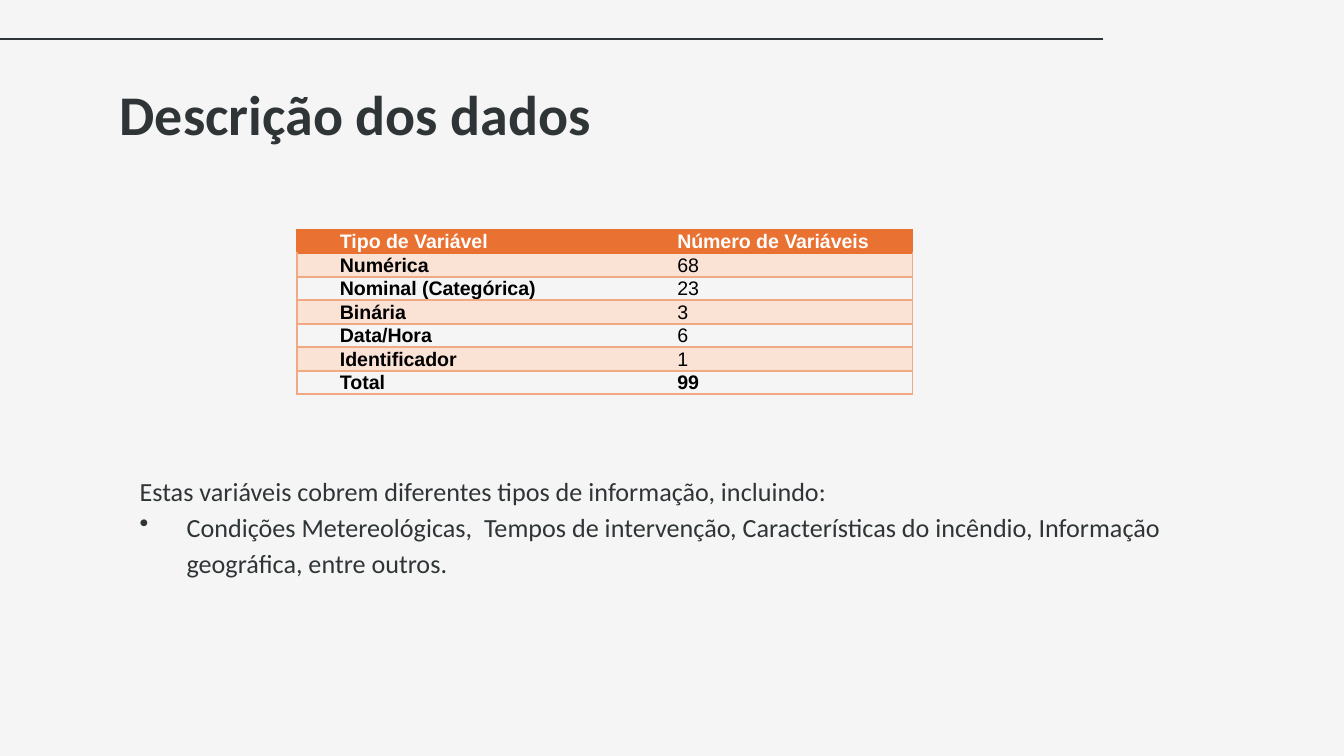
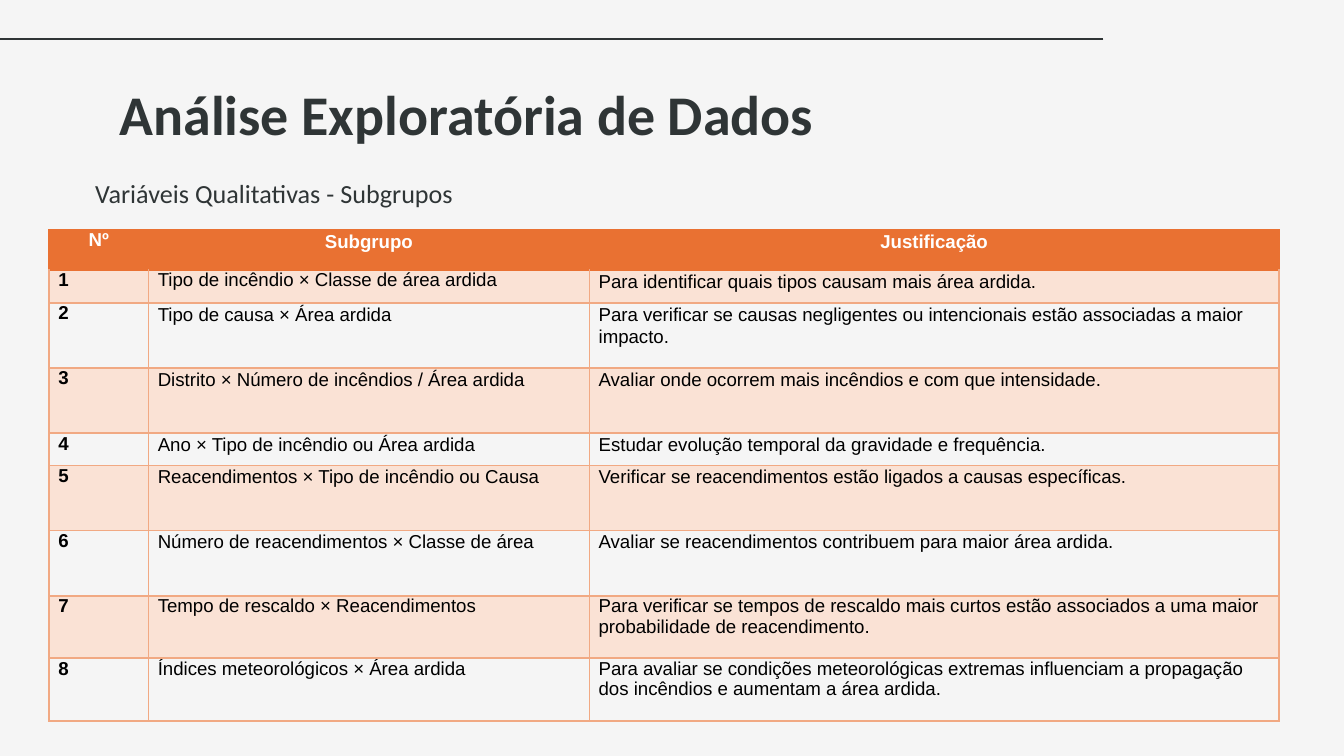
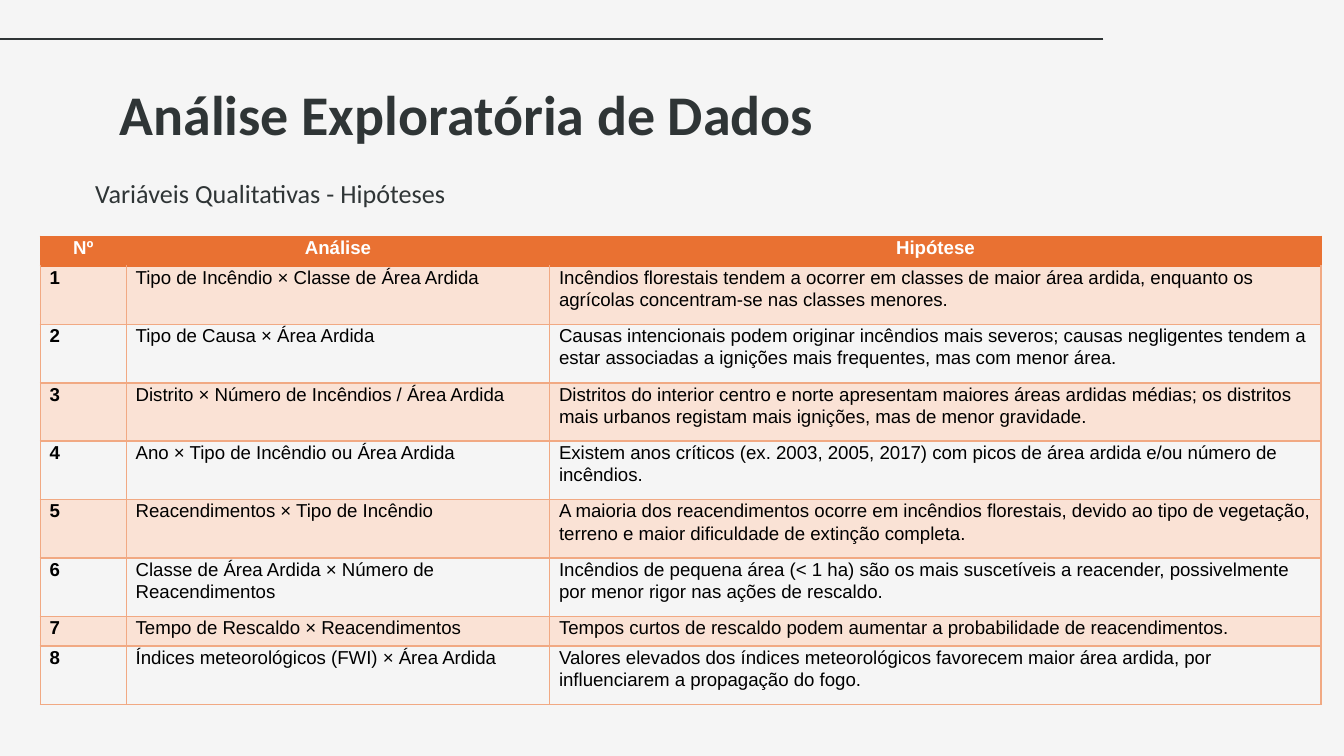
from dataclasses import dataclass
from itertools import product

import lxml.etree
import pptx
import pptx.dml.color
import pptx.enum.shapes
import pptx.enum.text
import pptx.oxml.ns
import pptx.util

RGBColor = pptx.dml.color.RGBColor
Align = pptx.enum.text.PP_ALIGN
Anchor = pptx.enum.text.MSO_ANCHOR
qn = pptx.oxml.ns.qn

# Shared look; 200 px make one inch
EMU_PER_PX = 4572
PAGE_WIDTH, PAGE_HEIGHT = 2000, 1125
TITLE_ONLY = 5
NO_TABLE_STYLE = "{2D5ABB26-0587-4C30-8999-92F81FD0307C}"

PAPER = RGBColor(0xF5, 0xF5, 0xF5)
INK = RGBColor(0x2F, 0x35, 0x36)
ORANGE = RGBColor(0xE9, 0x71, 0x32)
PEACH = RGBColor(0xF1, 0xA9, 0x83)
BAND = RGBColor(0xFA, 0xE2, 0xD5)
WHITE = RGBColor(0xFF, 0xFF, 0xFF)
BLACK = RGBColor(0x00, 0x00, 0x00)

HEADING_FONT = "Calibri"
TABLE_FONT = "Arial"


@dataclass(frozen=True)
class Rect:
    left: int
    top: int
    width: int
    height: int


@dataclass(frozen=True)
class Line:
    text: str
    indent: tuple[int, int] = (0, 0)  # left margin, first line
    bullet: bool = False


@dataclass(frozen=True)
class TableSpec:
    left: int
    top: int
    columns: tuple[int, ...]
    heights: tuple[int, ...]
    rows: tuple[tuple[str, ...], ...]
    size: float = 10
    first_indent: int = 0
    header_align: Align = Align.CENTER
    inner_verticals: bool = True
    total_row: bool = False
    tight_cells: frozenset[tuple[int, int]] = frozenset()


@dataclass(frozen=True)
class PageSpec:
    title: str
    body_rect: Rect
    body_anchor: Anchor
    body: tuple[Line, ...]
    table: TableSpec


TITLE_RECT = Rect(158, 98, 1686, 126)
SUBTITLE_RECT = Rect(122, 230, 1686, 100)


def px(length: int) -> pptx.util.Emu:
    return pptx.util.Emu(length * EMU_PER_PX)


def place(rect: Rect) -> tuple[pptx.util.Emu, ...]:
    return px(rect.left), px(rect.top), px(rect.width), px(rect.height)


def add_span(para, text: str, font: str, size: float, color: RGBColor, bold: bool) -> None:
    span = para.add_run()
    span.text = text
    span.font.name = font
    span.font.size = pptx.util.Pt(size)
    span.font.bold = bold
    span.font.color.rgb = color


def set_indent(para, margin: int, first: int) -> None:
    properties = para._p.get_or_add_pPr()
    properties.set("marL", str(px(margin)))
    properties.set("indent", str(px(first)))


def set_frame(frame, anchor: Anchor) -> None:
    frame.word_wrap = True
    frame.auto_size = pptx.enum.text.MSO_AUTO_SIZE.NONE
    frame.vertical_anchor = anchor
    frame.margin_left = frame.margin_right = px(20)
    frame.margin_top = frame.margin_bottom = px(20)


# Title and top rule
def add_heading(page, title: str) -> None:
    rule = page.shapes.add_connector(
        pptx.enum.shapes.MSO_CONNECTOR.STRAIGHT, px(1642), px(58), px(-10), px(58)
    )
    rule.line.color.rgb = INK
    rule.line.width = pptx.util.Pt(0.75)
    lxml.etree.SubElement(rule._element.spPr, qn("a:effectLst"))

    box = page.shapes.title
    box.left, box.top, box.width, box.height = place(TITLE_RECT)
    set_frame(box.text_frame, Anchor.TOP)
    para = box.text_frame.paragraphs[0]
    para.alignment = Align.LEFT
    add_span(para, title, HEADING_FONT, 30, INK, True)


# Running text
def add_body(page, rect: Rect, anchor: Anchor, lines: tuple[Line, ...]) -> None:
    frame = page.shapes.add_textbox(*place(rect)).text_frame
    set_frame(frame, anchor)
    for number, line in enumerate(lines):
        para = frame.add_paragraph() if number else frame.paragraphs[0]
        para.line_spacing = 1.15
        set_indent(para, *line.indent)
        if line.bullet:
            bullet = lxml.etree.SubElement(para._p.get_or_add_pPr(), qn("a:buChar"))
            bullet.set("char", "•")
        add_span(para, line.text, HEADING_FONT, 14, INK, False)


# Tables
def add_borders(cell, edges: dict[str, RGBColor]) -> None:
    properties = cell._tc.get_or_add_tcPr()
    for side in "LRTB":
        if side not in edges:
            continue
        edge = lxml.etree.SubElement(properties, qn(f"a:ln{side}"))
        edge.set("w", str(pptx.util.Pt(1)))
        fill = lxml.etree.SubElement(edge, qn("a:solidFill"))
        lxml.etree.SubElement(fill, qn("a:srgbClr")).set("val", str(edges[side]))


def cell_edges(spec: TableSpec, row: int, column: int) -> dict[str, RGBColor]:
    main = PEACH if row else ORANGE
    edges = {"T": PEACH if row > 1 else ORANGE, "B": main}
    if row == 0 and len(spec.rows) > 1:
        edges["B"] = ORANGE
    inner = spec.inner_verticals and row > 0
    if column == 0 or inner:
        edges["L"] = main
    if column == len(spec.columns) - 1 or inner:
        edges["R"] = main
    return edges


def fill_cell(cell, spec: TableSpec, row: int, column: int) -> None:
    header = row == 0
    add_borders(cell, cell_edges(spec, row, column))
    if header or row % 2:
        cell.fill.solid()
        cell.fill.fore_color.rgb = ORANGE if header else BAND
    else:
        cell.fill.background()
    cell.margin_left = cell.margin_right = px(14)
    cell.margin_top = cell.margin_bottom = 0

    para = cell.text_frame.paragraphs[0]
    para.alignment = spec.header_align if header else Align.LEFT
    set_indent(para, 0, spec.first_indent)
    if (row, column) not in spec.tight_cells:
        para.line_spacing = 1.07
        para.space_after = pptx.util.Pt(6)
    total = spec.total_row and row == len(spec.rows) - 1
    add_span(para, spec.rows[row][column], TABLE_FONT, spec.size,
             WHITE if header else BLACK, header or column == 0 or total)


def add_data_table(page, spec: TableSpec) -> None:
    rect = Rect(spec.left, spec.top, sum(spec.columns), sum(spec.heights))
    table = page.shapes.add_table(len(spec.rows), len(spec.columns), *place(rect)).table
    table._tbl.tblPr.find(qn("a:tableStyleId")).text = NO_TABLE_STYLE
    table.horz_banding = False
    for column, width in zip(table.columns, spec.columns):
        column.width = px(width)
    for row, height in zip(table.rows, spec.heights):
        row.height = px(height)
    for row, column in product(range(len(spec.rows)), range(len(spec.columns))):
        fill_cell(table.cell(row, column), spec, row, column)


# Content
VARIABLE_TYPES = TableSpec(
    left=442, top=342, columns=(502, 414), heights=(35,) * 7,
    size=10.5, first_indent=50, header_align=Align.LEFT,
    inner_verticals=False, total_row=True,
    rows=(
        ("Tipo de Variável", "Número de Variáveis"),
        ("Numérica", "68"),
        ("Nominal (Categórica)", "23"),
        ("Binária", "3"),
        ("Data/Hora", "6"),
        ("Identificador", "1"),
        ("Total", "99"),
    ),
)

SUBGROUPS = TableSpec(
    left=73, top=342, columns=(148, 656, 1026),
    heights=(60, 49, 97, 97, 48, 97, 97, 93, 93),
    tight_cells=frozenset({(1, 1), *product(range(9), (0,)), *product((7, 8), (1, 2))}),
    rows=(
        ("Nº", "Subgrupo", "Justificação"),
        ("1", "Tipo de incêndio × Classe de área ardida",
         "Para identificar quais tipos causam mais área ardida."),
        ("2", "Tipo de causa × Área ardida",
         "Para verificar se causas negligentes ou intencionais estão associadas a maior "
         "impacto."),
        ("3", "Distrito × Número de incêndios / Área ardida",
         "Avaliar onde ocorrem mais incêndios e com que intensidade."),
        ("4", "Ano × Tipo de incêndio ou Área ardida",
         "Estudar evolução temporal da gravidade e frequência."),
        ("5", "Reacendimentos × Tipo de incêndio ou Causa",
         "Verificar se reacendimentos estão ligados a causas específicas."),
        ("6", "Número de reacendimentos × Classe de área",
         "Avaliar se reacendimentos contribuem para maior área ardida."),
        ("7", "Tempo de rescaldo × Reacendimentos",
         "Para verificar se tempos de rescaldo mais curtos estão associados a uma maior "
         "probabilidade de reacendimento."),
        ("8", "Índices meteorológicos × Área ardida",
         "Para avaliar se condições meteorológicas extremas influenciam a propagação "
         "dos incêndios e aumentam a área ardida."),
    ),
)

HYPOTHESES = TableSpec(
    left=60, top=352, columns=(128, 630, 1148),
    heights=(44, *(87,) * 6, 44, 87),
    rows=(
        ("Nº", "Análise", "Hipótese"),
        ("1", "Tipo de Incêndio × Classe de Área Ardida",
         "Incêndios florestais tendem a ocorrer em classes de maior área ardida, enquanto "
         "os agrícolas concentram-se nas classes menores."),
        ("2", "Tipo de Causa × Área Ardida",
         "Causas intencionais podem originar incêndios mais severos; causas negligentes "
         "tendem a estar associadas a ignições mais frequentes, mas com menor área."),
        ("3", "Distrito × Número de Incêndios / Área Ardida",
         "Distritos do interior centro e norte apresentam maiores áreas ardidas médias; "
         "os distritos mais urbanos registam mais ignições, mas de menor gravidade."),
        ("4", "Ano × Tipo de Incêndio ou Área Ardida",
         "Existem anos críticos (ex. 2003, 2005, 2017) com picos de área ardida e/ou "
         "número de incêndios."),
        ("5", "Reacendimentos × Tipo de Incêndio",
         "A maioria dos reacendimentos ocorre em incêndios florestais, devido ao tipo de "
         "vegetação, terreno e maior dificuldade de extinção completa."),
        ("6", "Classe de Área Ardida × Número de Reacendimentos",
         "Incêndios de pequena área (< 1 ha) são os mais suscetíveis a reacender, "
         "possivelmente por menor rigor nas ações de rescaldo."),
        ("7", "Tempo de Rescaldo × Reacendimentos",
         "Tempos curtos de rescaldo podem aumentar a probabilidade de reacendimentos."),
        ("8", "Índices meteorológicos (FWI) × Área Ardida",
         "Valores elevados dos índices meteorológicos favorecem maior área ardida, por "
         "influenciarem a propagação do fogo."),
    ),
)

PAGES = (
    PageSpec(
        "Descrição dos dados", Rect(158, 680, 1686, 120), Anchor.TOP,
        (
            Line("Estas variáveis cobrem diferentes tipos de informação, incluindo:",
                 (100, -70)),
            Line("Condições Metereológicas,  Tempos de intervenção, Características do "
                 "incêndio, Informação geográfica, entre outros.", (100, -70), bullet=True),
        ),
        VARIABLE_TYPES,
    ),
    PageSpec(
        "Análise Exploratória de Dados", SUBTITLE_RECT, Anchor.BOTTOM,
        (Line("Variáveis Qualitativas - Subgrupos"),), SUBGROUPS,
    ),
    PageSpec(
        "Análise Exploratória de Dados", SUBTITLE_RECT, Anchor.BOTTOM,
        (Line("Variáveis Qualitativas - Hipóteses"),), HYPOTHESES,
    ),
)


def main() -> None:
    deck = pptx.Presentation()
    deck.slide_width, deck.slide_height = px(PAGE_WIDTH), px(PAGE_HEIGHT)
    backdrop = deck.slide_master.background.fill
    backdrop.solid()
    backdrop.fore_color.rgb = PAPER
    for spec in PAGES:
        page = deck.slides.add_slide(deck.slide_layouts[TITLE_ONLY])
        add_heading(page, spec.title)
        add_body(page, spec.body_rect, spec.body_anchor, spec.body)
        add_data_table(page, spec.table)
    deck.save("out.pptx")


if __name__ == "__main__":
    main()
